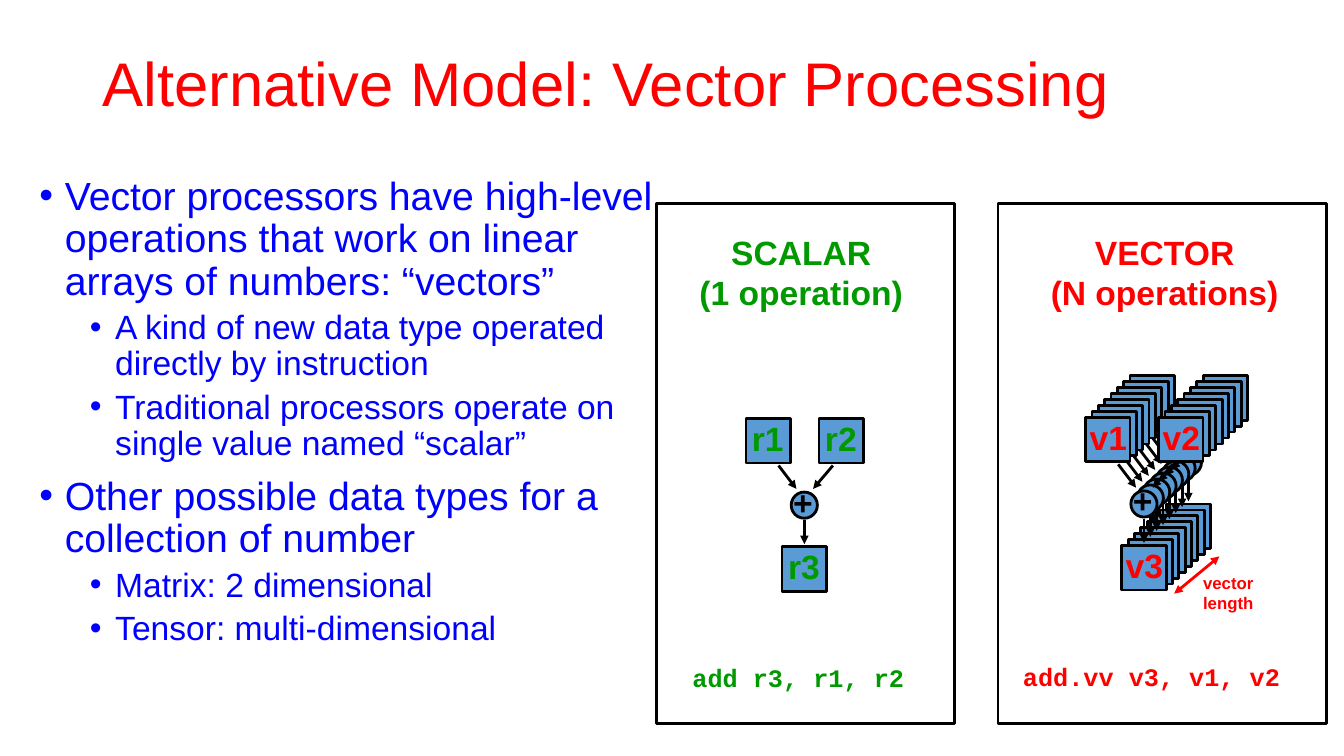
"""Build the slide that compares scalar and vector processing."""
from lxml.etree import SubElement
from pptx import Presentation
from pptx.dml.color import RGBColor
from pptx.enum.shapes import MSO_CONNECTOR as CONN, MSO_SHAPE as SHAPE
from pptx.enum.text import MSO_ANCHOR as ANCHOR, MSO_AUTO_SIZE as AUTO, PP_ALIGN as ALIGN
from pptx.oxml.ns import qn
from pptx.util import Cm, Pt

COLORS = {"red": "FF0000", "blue": "0000FF", "green": "009900",
          "black": "000000", "fill": "5B9BD5"}


def write(p, text, size=24, color="black", font="Arial", bold=True, align=ALIGN.LEFT):
    p.alignment = align
    r = p.add_run()
    r.text = text
    r.font.size = Pt(size)
    r.font.name = font
    r.font.bold = bold
    r.font.color.rgb = RGBColor.from_string(COLORS[color])


def draw_shape(kind, x, y, w, h, fill=None):
    sp = s.shapes.add_shape(kind, Cm(x), Cm(y), Cm(w), Cm(h))
    sp.shadow.inherit = False
    if fill:
        sp.fill.solid()
        sp.fill.fore_color.rgb = RGBColor.from_string(COLORS[fill])
    else:
        sp.fill.background()
    sp.line.color.rgb = RGBColor.from_string(COLORS["black"])
    sp.line.width = Pt(2)


prs = Presentation()
prs.slide_width, prs.slide_height = Cm(33.87), Cm(19.05)
s = prs.slides.add_slide(prs.slide_layouts[1])

title = s.shapes.title
title.left, title.top, title.width, title.height = Cm(2.33), Cm(1.01), Cm(29.21), Cm(2.32)
tf = title.text_frame
tf.vertical_anchor = ANCHOR.MIDDLE
tf.auto_size = AUTO.NONE
tf.paragraphs[0].line_spacing = 0.9
write(tf.paragraphs[0], "Alternative Model: Vector Processing", size=44, color="red", bold=False)

body = s.placeholders[1]
body.left, body.top, body.width, body.height = Cm(0.74), Cm(4.32), Cm(16.3), Cm(14.2)
tf = body.text_frame
tf.auto_size = AUTO.NONE
bullets = [
    (0, "Vector processors have high-level operations that work on linear arrays of numbers: “vectors”"),
    (1, "A kind of new data type operated directly by instruction"),
    (1, "Traditional processors operate on single value named “scalar”"),
    (0, "Other possible data types for a collection of number"),
    (1, "Matrix: 2 dimensional"),
    (1, "Tensor: multi-dimensional"),
]
for i, (level, text) in enumerate(bullets):
    p = tf.add_paragraph() if i else tf.paragraphs[0]
    p.level = level
    pPr = p._p.get_or_add_pPr()
    pPr.set("marL", str(Cm(0.64 + 1.27 * level)))
    pPr.set("indent", str(-Cm(0.64)))
    SubElement(pPr, qn("a:buFont")).set("typeface", "Arial")
    SubElement(pPr, qn("a:buChar")).set("char", "•")
    p.line_spacing = 0.9
    p.space_before = Pt((10, 5)[level] if i else 0)
    write(p, text, size=(28, 24)[level], color="blue", bold=False)

SQUARE, CIRCLE = 1.12, 0.66
STEP_X, STEP_Y = 0.16, 0.15
squares = [(-1.14, -1.85), (0.7, -1.85), (-0.23, 1.38)]
arrows = [(-0.32, -0.67, 0.13, -0.08), (1.05, -0.67, 0.55, -0.08), (0.33, 0.71, 0.33, 1.31)]
code = {"size": 18, "font": "Courier New"}
centred = {"align": ALIGN.CENTER}

diagrams = [
    {"panel": (16.54, 7.52), "adder": (19.94, 12.4), "layers": 1, "color": "green",
     "registers": ("r1", "r2", "r3"), "label": (-0.1, 1.45), "texts": [
         ("add r3, r1, r2", 17.2, 16.56, 6.4, 1.09, code),
         ("SCALAR\n(1 operation)", 17.09, 5.72, 6.2, 2.49, centred)]},
    {"panel": (25.15, 8.28), "adder": (28.5, 12.37), "layers": 8, "color": "red",
     "registers": ("v1", "v2", "v3"), "label": (-0.15, 1.6), "texts": [
         ("vector\nlength", 30.07, 14.3, 1.96, 1.37, {"size": 12}),
         ("add.vv v3, v1, v2", 25.53, 16.54, 7.65, 1.09, code),
         ("VECTOR\n(N operations)", 25.91, 5.72, 6.88, 2.49, centred)]},
]

for d in diagrams:
    left, width = d["panel"]
    draw_shape(SHAPE.RECTANGLE, left, 5.13, width, 13.11)
    ax, ay = d["adder"]

    for layer in reversed(range(d["layers"])):
        x, y = ax + layer * STEP_X, ay - layer * STEP_Y
        draw_shape(SHAPE.OVAL, x, y, CIRCLE, CIRCLE, "fill")
        for dx, dy in squares:
            draw_shape(SHAPE.RECTANGLE, x + dx, y + dy, SQUARE, SQUARE, "fill")
        lines = [(x + x1, y + y1, x + x2, y + y2, "black", ["tailEnd"])
                 for x1, y1, x2, y2 in arrows[layer == 7:]]
        if d["layers"] > 1 and layer == 0:
            lines.append((30.73, 14.02, 29.59, 14.96, "red", ["headEnd", "tailEnd"]))
        for x1, y1, x2, y2, color, ends in lines:
            cn = s.shapes.add_connector(CONN.STRAIGHT, Cm(x1), Cm(y1), Cm(x2), Cm(y2))
            cn.line.color.rgb = RGBColor.from_string(COLORS[color])
            cn.line.width = Pt(2)
            for end in ends:
                SubElement(cn.line._get_or_add_ln(), qn(f"a:{end}")).set("type", "triangle")
            SubElement(cn._element.spPr, qn("a:effectLst"))

    shift, label_width = d["label"]
    labels = [(name, ax + dx + shift, ay + dy - 0.15, label_width, 1.37, {})
              for name, (dx, dy) in zip(d["registers"], squares)]
    labels.append(("+", ax - 0.2, ay - 0.39, 1.09, 1.37, {"color": "black"}))
    for text, x, y, w, h, style in labels + d["texts"]:
        tf = s.shapes.add_textbox(Cm(x), Cm(y), Cm(w), Cm(h)).text_frame
        tf.word_wrap = text.startswith("vector")
        tf.auto_size = AUTO.SHAPE_TO_FIT_TEXT
        for i, line in enumerate(text.split("\n")):
            p = tf.add_paragraph() if i else tf.paragraphs[0]
            write(p, line, **{"color": d["color"], **style})

prs.save("out.pptx")
